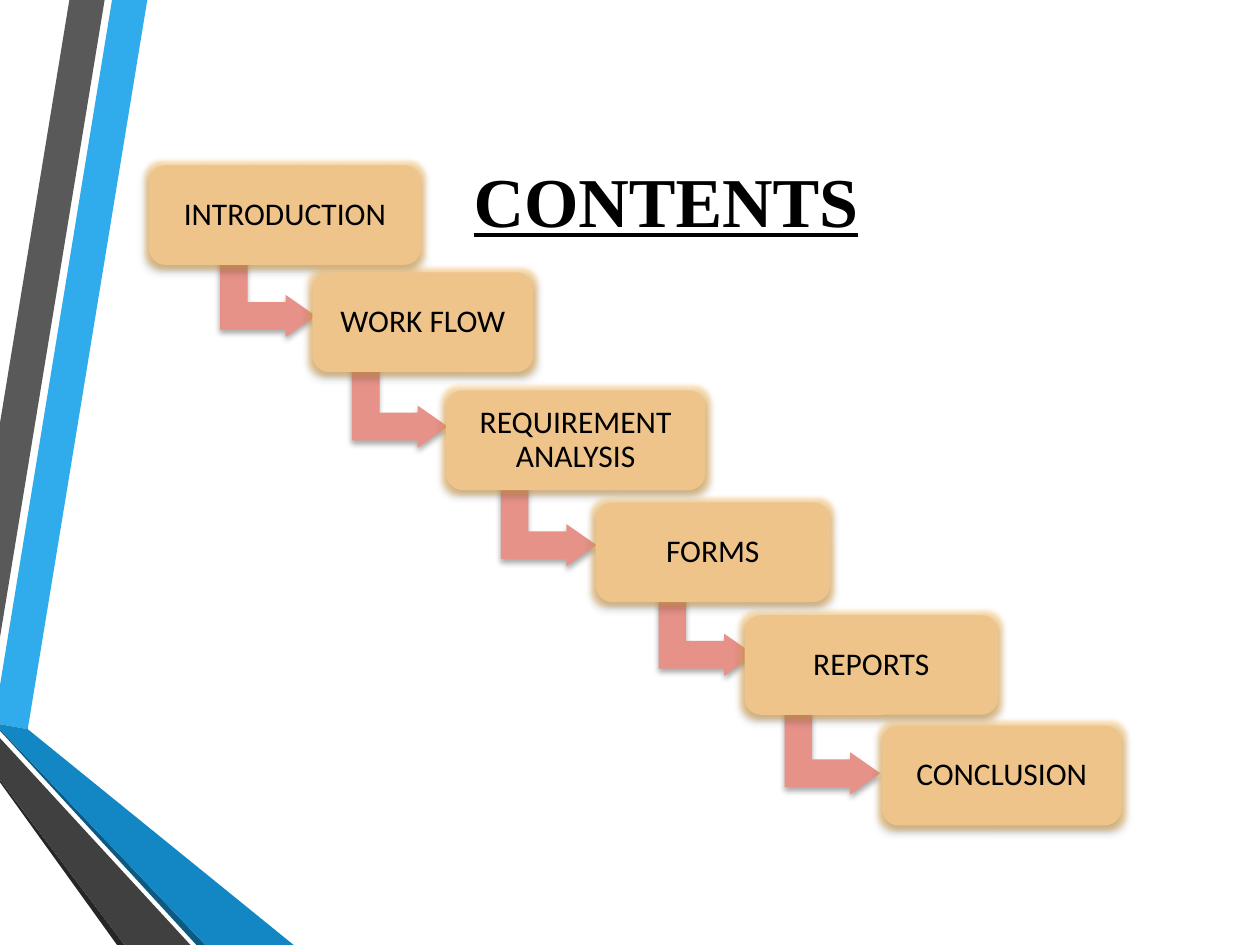
from typing import NamedTuple

from lxml.etree import SubElement
from pptx import Presentation
from pptx.dml.color import RGBColor
from pptx.enum.shapes import MSO_SHAPE
from pptx.enum.text import MSO_ANCHOR, PP_ALIGN
from pptx.oxml.ns import qn
from pptx.util import Cm, Pt

BLACK = RGBColor(0, 0, 0)
SAND = RGBColor(0xEE, 0xC4, 0x8B)
ROSE = RGBColor(0xE6, 0x92, 0x89)
GLOW = RGBColor(0xFF, 0xB9, 0x4D)
SKY = RGBColor(0x30, 0xAC, 0xEC)
BLUE = RGBColor(0x12, 0x87, 0xC3)
NAVY = RGBColor(0x0C, 0x5A, 0x82)
GREY = RGBColor(0x59, 0x59, 0x59)
DARK = RGBColor(0x40, 0x40, 0x40)
COAL = RGBColor(0x26, 0x26, 0x26)

WIDE, HIGH = 25.4, 19.05
BOX_HIGH = 2.01
ARROW_WIDE, ARROW_HIGH = 1.7, 1.93


class Ribbon(NamedTuple):
    color: RGBColor
    points: list[tuple[float, float]]


class Step(NamedTuple):
    label: str
    left: float
    top: float
    width: float
    arrow: tuple[float, float] | None = None


RIBBONS = [
    Ribbon(SKY, [(0, 13.82), (0, 14.6), (0.56, 14.7), (2.97, 0), (2.26, 0)]),
    Ribbon(GREY, [(2.11, 0), (1.4, 0), (0, 8.53), (0, 12.85)]),
    Ribbon(COAL, [(0, 15.72), (0, 15.77), (2.36, HIGH), (2.51, HIGH)]),
    Ribbon(NAVY, [(0, 14.7), (0, 14.73), (3.96, HIGH), (4.14, HIGH)]),
    Ribbon(BLUE, [(0, 14.7), (4.14, HIGH), (5.92, HIGH), (0.56, 14.7), (0, 14.6)]),
    Ribbon(DARK, [(0, 15.72), (2.51, HIGH), (3.84, HIGH), (0, 14.88)]),
]

STEPS = [
    Step("INTRODUCTION", 3, 3.33, 5.49, (4.55, 4.98)),
    Step("WORK FLOW", 6.3, 5.49, 4.45, (7.21, 7.21)),
    Step("REQUIREMENT ANALYSIS", 8.99, 7.87, 5.23, (10.21, 9.6)),
    Step("FORMS", 12.01, 10.13, 4.72, (13.39, 11.81)),
    Step("REPORTS", 15.01, 12.4, 5.11, (15.93, 14.2)),
    Step("CONCLUSION", 17.78, 14.63, 4.83),
]


def paint(shape, color: RGBColor) -> None:
    shape.shadow.inherit = False
    shape.fill.solid()
    shape.fill.fore_color.rgb = color
    shape.line.fill.background()


def tint(parent, color: RGBColor, alpha: int) -> None:
    """Add a colour with an opacity in percent to an effect."""
    node = SubElement(parent, qn("a:srgbClr"), val=str(color))
    SubElement(node, qn("a:alpha"), val=str(alpha * 1000))


def light(shape, glow: bool = False) -> None:
    """Give a painted shape a soft shadow below and, if asked, a glow."""
    effects = shape._element.spPr.find(qn("a:effectLst"))
    if glow:
        tint(SubElement(effects, qn("a:glow"), rad=str(Pt(5))), GLOW, 40)
    shadow = SubElement(effects, qn("a:outerShdw"), blurRad=str(Pt(3.5)),
                        dist=str(Pt(2.2)), dir="5400000", rotWithShape="0")
    tint(shadow, BLACK, 32)


def draw_ribbon(shapes, ribbon: Ribbon) -> None:
    first, *rest = [(Cm(x), Cm(y)) for x, y in ribbon.points]
    pen = shapes.build_freeform(*first)
    pen.add_line_segments(rest)
    paint(pen.convert_to_shape(), ribbon.color)


def draw_arrow(shapes, left: float, top: float) -> None:
    arrow = shapes.add_shape(MSO_SHAPE.BENT_UP_ARROW, Cm(left), Cm(top),
                             Cm(ARROW_WIDE), Cm(ARROW_HIGH))
    arrow.rotation = 90
    for i, value in enumerate((0.328, 0.25, 0.358)):
        arrow.adjustments[i] = value
    paint(arrow, ROSE)
    light(arrow)


def draw_step(shapes, step: Step) -> None:
    if step.arrow:
        draw_arrow(shapes, *step.arrow)
    box = shapes.add_shape(MSO_SHAPE.ROUNDED_RECTANGLE, Cm(step.left),
                           Cm(step.top), Cm(step.width), Cm(BOX_HIGH))
    paint(box, SAND)
    light(box, glow=True)
    frame = box.text_frame
    frame.word_wrap = True
    frame.vertical_anchor = MSO_ANCHOR.MIDDLE
    frame.margin_left = frame.margin_right = Cm(0.2)
    frame.margin_top = frame.margin_bottom = Cm(0.2)
    frame.text = step.label
    para = frame.paragraphs[0]
    para.alignment = PP_ALIGN.CENTER
    para.line_spacing = 0.9
    para.font.name = "Calibri"
    para.font.size = Pt(18)
    para.font.color.rgb = BLACK


def set_title(title) -> None:
    title.left, title.top = Cm(2.72), Cm(1.27)
    title.width, title.height = Cm(21.41), Cm(5.51)
    frame = title.text_frame
    frame.text = "CONTENTS"
    frame.vertical_anchor = MSO_ANCHOR.MIDDLE
    para = frame.paragraphs[0]
    para.alignment = PP_ALIGN.CENTER
    font = para.font
    font.name = "Times New Roman"
    font.size = Pt(40)
    font.bold = font.underline = True
    font.color.rgb = BLACK


def main() -> None:
    deck = Presentation()
    deck.slide_width, deck.slide_height = Cm(WIDE), Cm(HIGH)
    shapes = deck.slides.add_slide(deck.slide_layouts[5]).shapes
    set_title(shapes.title)
    for ribbon in RIBBONS:
        draw_ribbon(shapes, ribbon)
    for step in STEPS:
        draw_step(shapes, step)
    deck.save("out.pptx")


if __name__ == "__main__":
    main()
